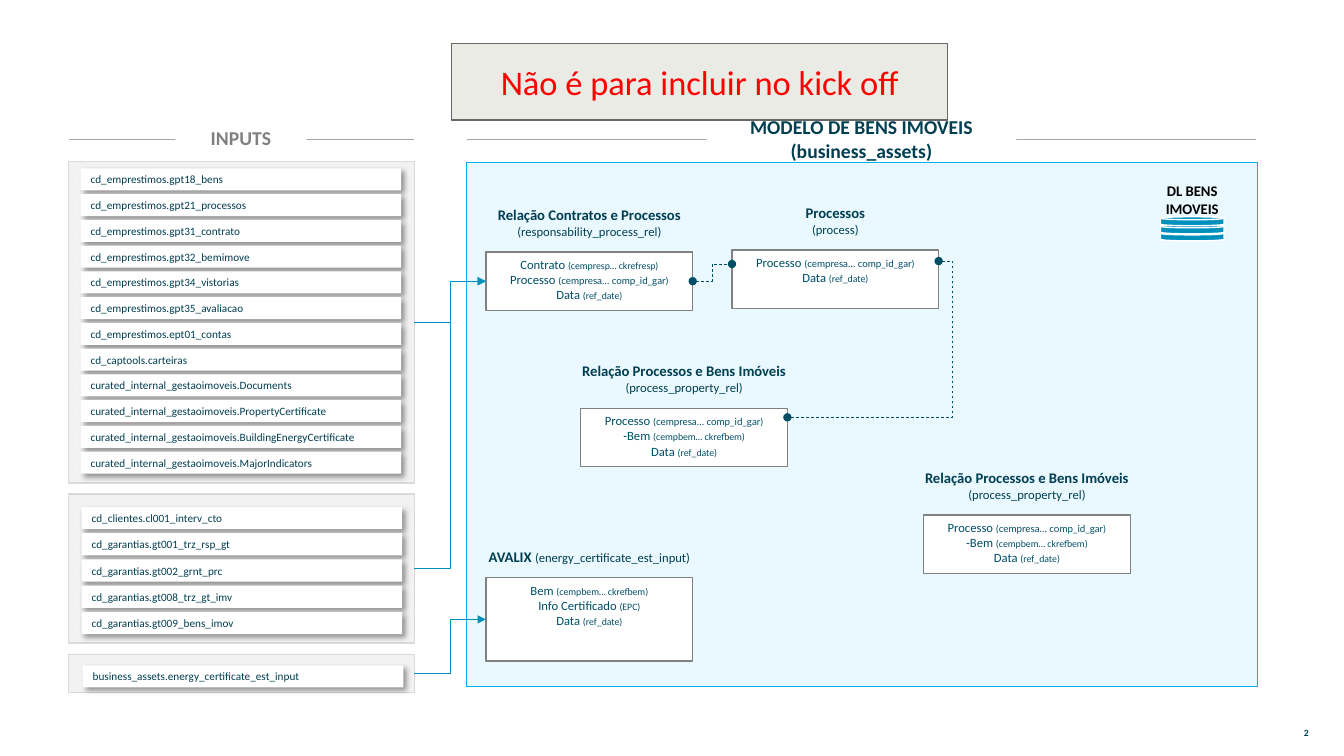
from dataclasses import dataclass
from typing import NamedTuple, Optional

from lxml.etree import SubElement
from pptx import Presentation
from pptx.dml.color import RGBColor
from pptx.enum.dml import MSO_LINE
from pptx.enum.shapes import MSO_CONNECTOR, MSO_SHAPE
from pptx.enum.text import MSO_ANCHOR, PP_ALIGN
from pptx.oxml.ns import qn
from pptx.util import Inches, Pt

NAVY, TEAL, BLUE = "003E51", "004E66", "0090BC"
WHITE, GRAY, PALE = "FFFFFF", "808080", "F2F2F2"


class Span(NamedTuple):
    text: str
    size: float
    bold: bool = False
    font: str = "Calibri"


class Box(NamedTuple):
    left: float
    top: float
    width: float
    height: float


@dataclass
class InputGroup:
    frame: Box
    row_left: float
    row_top: float
    row_pitch: float
    names: list[str]


@dataclass
class Entity:
    box: Box
    heading: list[list[Span]]
    fields: list[list[Span]]
    heading_gap: float = 0.5


@dataclass
class SectionTitle:
    text: str
    box: Box
    rule_left: float
    rule_right: float
    color: str


def rgb(color: str) -> RGBColor:
    return RGBColor.from_string(color)


def write(shape, paragraphs: list[list[Span]], color: str, align=PP_ALIGN.CENTER,
          anchor=MSO_ANCHOR.MIDDLE, margins: tuple[float, float] = (0.1, 0.05)) -> None:
    frame = shape.text_frame
    frame.word_wrap = True
    frame.vertical_anchor = anchor
    frame.margin_left = frame.margin_right = Inches(margins[0])
    frame.margin_top = frame.margin_bottom = Inches(margins[1])
    for index, spans in enumerate(paragraphs):
        paragraph = frame.add_paragraph() if index else frame.paragraphs[0]
        paragraph.alignment = align
        paragraph.font.color.rgb = rgb(color)
        runs = [paragraph.add_run() for _ in spans]
        for run, span in zip(runs, spans):
            run.text = span.text
        styles = [{"size": Pt(s.size), "bold": s.bold, "name": s.font} for s in spans]
        for key in ("size", "bold", "name"):
            if len({style[key] for style in styles}) == 1:
                setattr(paragraph.font, key, styles[0][key])
            else:
                for run, style in zip(runs, styles):
                    setattr(run.font, key, style[key])


def add_box(shapes, box: Box, fill: str, line: Optional[str] = None,
            weight: float = 1, preset=MSO_SHAPE.RECTANGLE):
    shape = shapes.add_shape(preset, *map(Inches, box))
    shape.shadow.inherit = False
    shape.fill.solid()
    shape.fill.fore_color.rgb = rgb(fill)
    if line:
        shape.line.color.rgb = rgb(line)
        shape.line.width = Pt(weight)
    else:
        shape.line.fill.background()
    return shape


def add_label(shapes, box: Box, paragraphs: list[list[Span]], color: str,
              margins: tuple[float, float] = (0.1, 0.05)) -> None:
    write(shapes.add_textbox(*map(Inches, box)), paragraphs, color, margins=margins)


def cast_shadow(shape) -> None:
    effects = shape._element.spPr.find(qn("a:effectLst"))
    shadow = SubElement(effects, qn("a:outerShdw"), blurRad=str(Pt(4)),
                        dist=str(Pt(3)), dir="2700000", algn="tl", rotWithShape="0")
    tint = SubElement(shadow, qn("a:srgbClr"), val="000000")
    SubElement(tint, qn("a:alpha"), val="40000")


def add_link(shapes, kind, start: tuple[float, float], end: tuple[float, float],
             color: str, head: str = "none", tail: str = "none",
             dashed: bool = False, bend: float = 0.5):
    link = shapes.add_connector(kind, *map(Inches, start + end))
    link.line.color.rgb = rgb(color)
    link.line.width = Pt(0.5)
    if dashed:
        link.line.dash_style = MSO_LINE.DASH
    properties = link._element.spPr
    outline = properties.find(qn("a:ln"))
    SubElement(outline, qn("a:headEnd"), type=head)
    SubElement(outline, qn("a:tailEnd"), type=tail)
    SubElement(properties, qn("a:effectLst"))
    if kind == MSO_CONNECTOR.ELBOW:
        guides = properties.find(qn("a:prstGeom")).find(qn("a:avLst"))
        SubElement(guides, qn("a:gd"), name="adj1", fmla=f"val {round(bend * 100000)}")
    return link


def add_input_group(shapes, group: InputGroup):
    frame = add_box(shapes, group.frame, PALE, "D9D9D9")
    for index, name in enumerate(group.names):
        top = group.row_top + index * group.row_pitch
        row = add_box(shapes, Box(group.row_left, top, 3.18, 0.22), WHITE)
        cast_shadow(row)
        write(row, [[Span(name, 8)]], NAVY, align=PP_ALIGN.LEFT)
    return frame


def add_entity(shapes, entity: Entity):
    box = entity.box
    table = add_box(shapes, box, WHITE, GRAY)
    write(table, entity.fields, TEAL, anchor=MSO_ANCHOR.TOP)
    heading = Box(box.left - 0.1, box.top - entity.heading_gap, 2.25, 0.41)
    add_label(shapes, heading, entity.heading, NAVY)
    return table


def add_section_title(shapes, title: SectionTitle) -> None:
    add_link(shapes, MSO_CONNECTOR.STRAIGHT, (title.rule_right, 1.38),
             (title.rule_left, 1.38), "A6A6A6")
    plate = add_box(shapes, title.box, WHITE)
    write(plate, [[Span(title.text, 14, True)]], title.color,
          anchor=MSO_ANCHOR.TOP, margins=(0, 0))


def field(name: str, key: str) -> list[Span]:
    return [Span(name + " ", 9), Span(key, 7)]


PROCESS = [Span("Processo ", 9), Span("(", 7),
           Span("cempresa… comp_id_gar", 7, font="Lato"), Span(")", 7)]
PROPERTY = field(" -Bem", "(cempbem… ckrefbem)")
DATE = field("Data", "(ref_date)")
PROPERTY_HEADING = [[Span("Relação Processos e Bens Imóveis", 10.5, True)],
                    [Span("(process_property_rel)", 9)]]

INPUT_GROUPS = [
    InputGroup(Box(0.68, 1.6, 3.43, 3.19), 0.8, 1.67, 2.81 / 11, [
        *(f"cd_emprestimos.{name}" for name in (
            "gpt18_bens", "gpt21_processos", "gpt31_contrato", "gpt32_bemimove",
            "gpt34_vistorias", "gpt35_avaliacao", "ept01_contas")),
        "cd_captools.carteiras",
        *(f"curated_internal_gestaoimoveis.{name}" for name in (
            "Documents", "PropertyCertificate", "BuildingEnergyCertificate",
            "MajorIndicators"))]),
    InputGroup(Box(0.68, 4.9, 3.43, 1.48), 0.81, 5.03, 0.26, [
        "cd_clientes.cl001_interv_cto", "cd_garantias.gt001_trz_rsp_gt",
        "cd_garantias.gt002_grnt_prc", "cd_garantias.gt008_trz_gt_imv",
        "cd_garantias.gt009_bens_imov"]),
    InputGroup(Box(0.68, 6.49, 3.43, 0.38), 0.82, 6.6, 0.26,
               ["business_assets.energy_certificate_est_input"]),
]

ENTITIES = [
    Entity(Box(4.82, 2.5, 2.05, 0.58),
           [[Span("Relação Contratos e Processos ", 10.5, True),
             Span("(responsability_process_rel)", 9)]],
           [field("Contrato", "(cempresp… ckrefresp)"), PROCESS, DATE]),
    Entity(Box(4.82, 5.73, 2.05, 0.83),
           [[Span("AVALIX ", 10.5, True), Span("(energy_certificate_est_input)", 9)]],
           [field("Bem", "(cempbem… ckrefbem)"), field("Info Certificado", "(EPC)"), DATE],
           heading_gap=0.41),
    Entity(Box(7.26, 2.48, 2.05, 0.58),
           [[Span("Processos", 10.5, True)], [Span("(process)", 9)]], [PROCESS, DATE]),
    Entity(Box(5.76, 4.05, 2.05, 0.58), PROPERTY_HEADING, [PROCESS + PROPERTY, DATE]),
    Entity(Box(9.16, 5.11, 2.05, 0.58), PROPERTY_HEADING, [PROCESS + PROPERTY, DATE]),
]

SECTION_TITLES = [
    SectionTitle("INPUTS", Box(1.74, 1.25, 1.3, 0.24), 0.68, 4.11, GRAY),
    SectionTitle("MODELO DE BENS IMÓVEIS (business_assets)",
                 Box(7.01, 1.14, 3.07, 0.47), 4.63, 12.46, NAVY),
]


def main() -> None:
    deck = Presentation()
    deck.slide_width, deck.slide_height = Inches(13.33), Inches(7.5)
    shapes = deck.slides.add_slide(deck.slide_layouts[6]).shapes

    add_label(shapes, Box(12.73, 7.19, 0.45, 0.16), [[Span("2", 6.8, True)]], NAVY, (0.06, 0.03))
    loans, guarantees, certificates = [add_input_group(shapes, g) for g in INPUT_GROUPS]
    for title in SECTION_TITLES:
        add_section_title(shapes, title)

    model = add_box(shapes, Box(4.63, 1.61, 7.84, 5.2), "D4F5FF", "00B1E7", 0.5)
    tint = model._element.spPr.find(qn("a:solidFill")).find(qn("a:srgbClr"))
    SubElement(tint, qn("a:alpha"), val="50000")

    add_label(shapes, Box(11.39, 1.88, 0.87, 0.2),
              [[Span("DL BENS IMOVEIS", 10.5, True)]], "000000", (0, 0))
    for top in (2.3, 2.23, 2.15):
        add_box(shapes, Box(11.51, top, 0.63, 0.09), BLUE, WHITE,
                preset=MSO_SHAPE.FLOWCHART_MAGNETIC_DISK)

    contracts, valuation, *_ = [add_entity(shapes, entity) for entity in ENTITIES]
    for source, target in ((certificates, valuation), (loans, contracts), (guarantees, contracts)):
        flow = add_link(shapes, MSO_CONNECTOR.ELBOW, (4.11, 3.19), (4.82, 2.79),
                        BLUE, tail="triangle")
        flow.begin_connect(source, 3)
        flow.end_connect(target, 1)
    for start, end, bend in (((6.87, 2.79), (7.26, 2.62), 0.5),
                             ((7.81, 4.14), (9.31, 2.59), 1.09)):
        add_link(shapes, MSO_CONNECTOR.ELBOW, start, end, TEAL, "oval", "oval", True, bend)

    banner = add_box(shapes, Box(4.48, 0.43, 4.92, 0.76), "EBEBE6", "676765")
    write(banner, [[Span("Não é para incluir no kick off", 24.6)]], "FF0000")
    deck.save("out.pptx")


if __name__ == "__main__":
    main()
